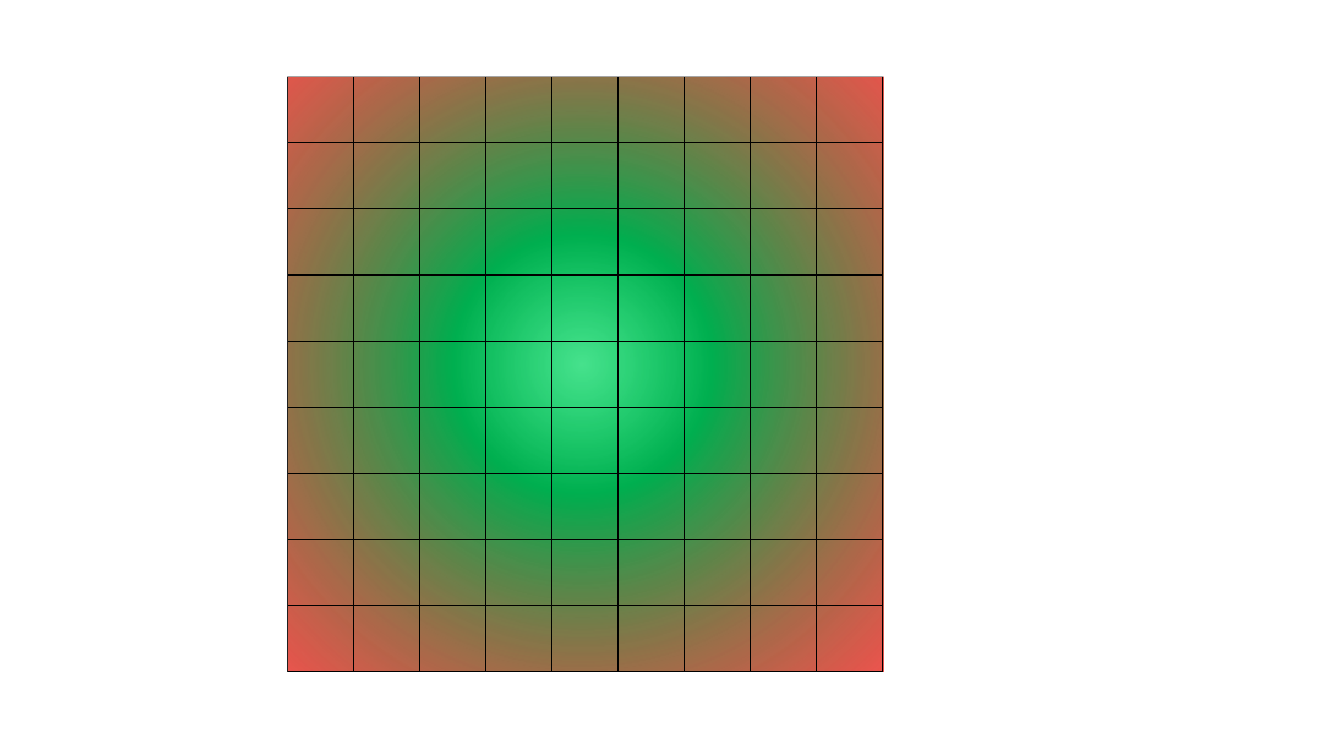
import lxml.etree
import pptx
import pptx.dml.color
import pptx.enum.shapes
import pptx.oxml.ns
import pptx.util

Pt = pptx.util.Pt
SHAPE = pptx.enum.shapes.MSO_SHAPE
WHITE = pptx.dml.color.RGBColor(0xFF, 0xFF, 0xFF)
BLACK = pptx.dml.color.RGBColor(0x00, 0x00, 0x00)
LIGHT_GREEN = pptx.dml.color.RGBColor(0x00, 0xD8, 0x62)
GREEN = pptx.dml.color.RGBColor(0x00, 0xB0, 0x50)
RED = pptx.dml.color.RGBColor(0xFF, 0x00, 0x00)

GRID_COUNT = 9
GRID_LEFT, GRID_TOP, CELL_SIZE = 205.2, 54.7, 47.28
MASK_LENGTH, MASK_WIDTH = 486.7, 72


def add_element(parent, tag, **attributes):
    element = lxml.etree.SubElement(parent, pptx.oxml.ns.qn(tag))
    for name, value in attributes.items():
        element.set(name, str(value))
    return element


def add_plain_shape(kind, left, top, width, height):
    """Add a white shape without line or shadow."""
    shape = page.shapes.add_shape(kind, Pt(left), Pt(top), Pt(width), Pt(height))
    shape.shadow.inherit = False
    shape.fill.solid()
    shape.fill.fore_color.rgb = WHITE
    shape.line.fill.background()
    return shape


deck = pptx.Presentation()
deck.slide_width, deck.slide_height = Pt(960), Pt(540)
page = deck.slides.add_slide(deck.slide_layouts[6])

# Radial glow: position in percent, colour, opacity in percent
glow = add_plain_shape(SHAPE.OVAL, 101.5, -43.9, 627.8, 607.7)
glow.fill.gradient()
gradient = glow.element.spPr.find(pptx.oxml.ns.qn("a:gradFill"))
for child in list(gradient):
    gradient.remove(child)
stops = add_element(gradient, "a:gsLst")
for position, colour, opacity in (
    (0, LIGHT_GREEN, 72),
    (21, GREEN, 100),
    (76, RED, 68),
    (97, RED, 47),
):
    stop = add_element(stops, "a:gs", pos=position * 1000)
    tint = add_element(stop, "a:srgbClr", val=colour)
    if opacity < 100:
        add_element(tint, "a:alpha", val=opacity * 1000)
circle = add_element(gradient, "a:path", path="circle")
add_element(circle, "a:fillToRect", l=50000, t=50000, r=50000, b=50000)

# Square grid with clear cells
grid_size = Pt(GRID_COUNT * CELL_SIZE)
grid = page.shapes.add_table(
    GRID_COUNT, GRID_COUNT, Pt(GRID_LEFT), Pt(GRID_TOP), grid_size, grid_size
).table
grid.first_row = False
grid.horz_banding = False
for column in grid.columns:
    column.width = Pt(CELL_SIZE)
for row in grid.rows:
    row.height = Pt(CELL_SIZE)
for cell in grid.iter_cells():
    properties = cell._tc.get_or_add_tcPr()
    for side in ("a:lnL", "a:lnR", "a:lnT", "a:lnB"):
        border = add_element(properties, side, w=Pt(1))
        add_element(add_element(border, "a:solidFill"), "a:srgbClr", val=BLACK)
    cell.fill.background()

# White bands that trim the glow to the grid: left, top, rotation
for left, top, rotation in (
    (198.7, 480.2, 0),
    (187.9, -17.3, 0),
    (424.1, 236.9, 90),
    (-74.2, 236.9, 90),
    (-135.4, 254.9, 90),
    (459.4, 259.2, 90),
):
    band = add_plain_shape(SHAPE.RECTANGLE, left, top, MASK_LENGTH, MASK_WIDTH)
    band.rotation = rotation

deck.save("out.pptx")
